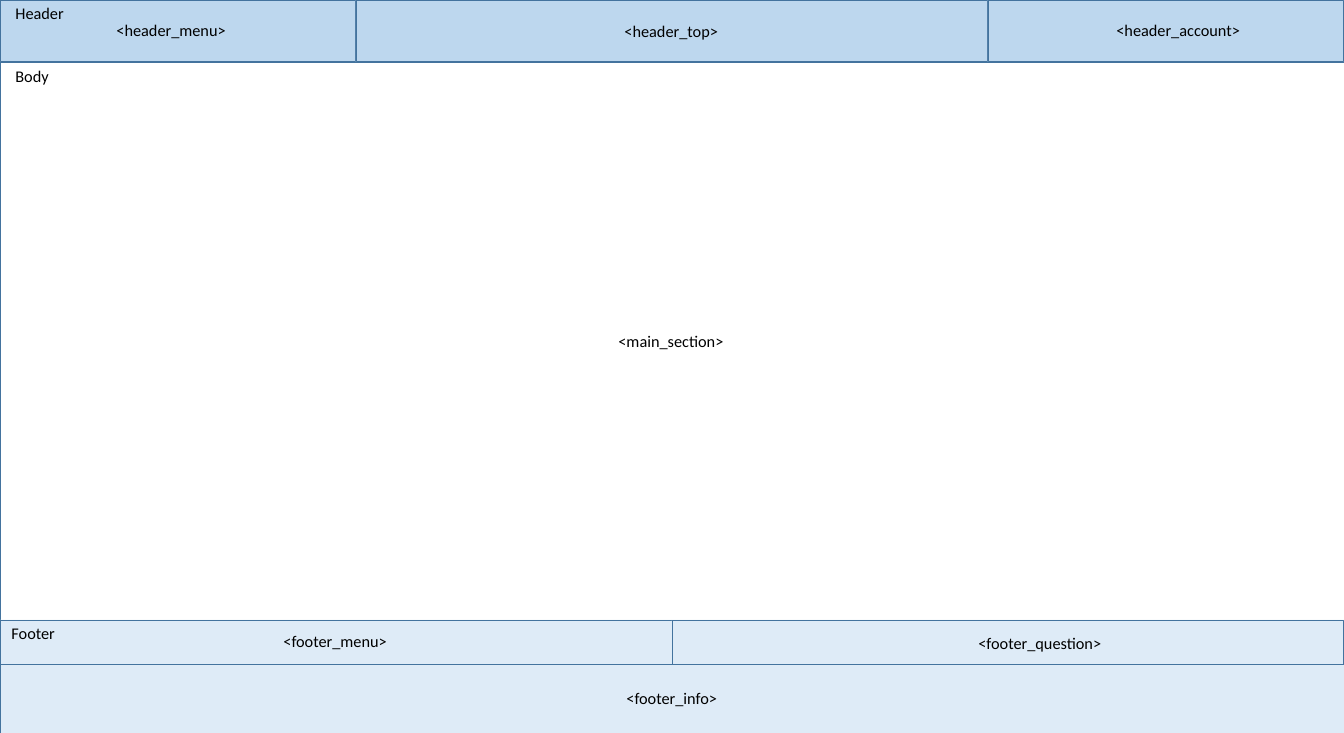
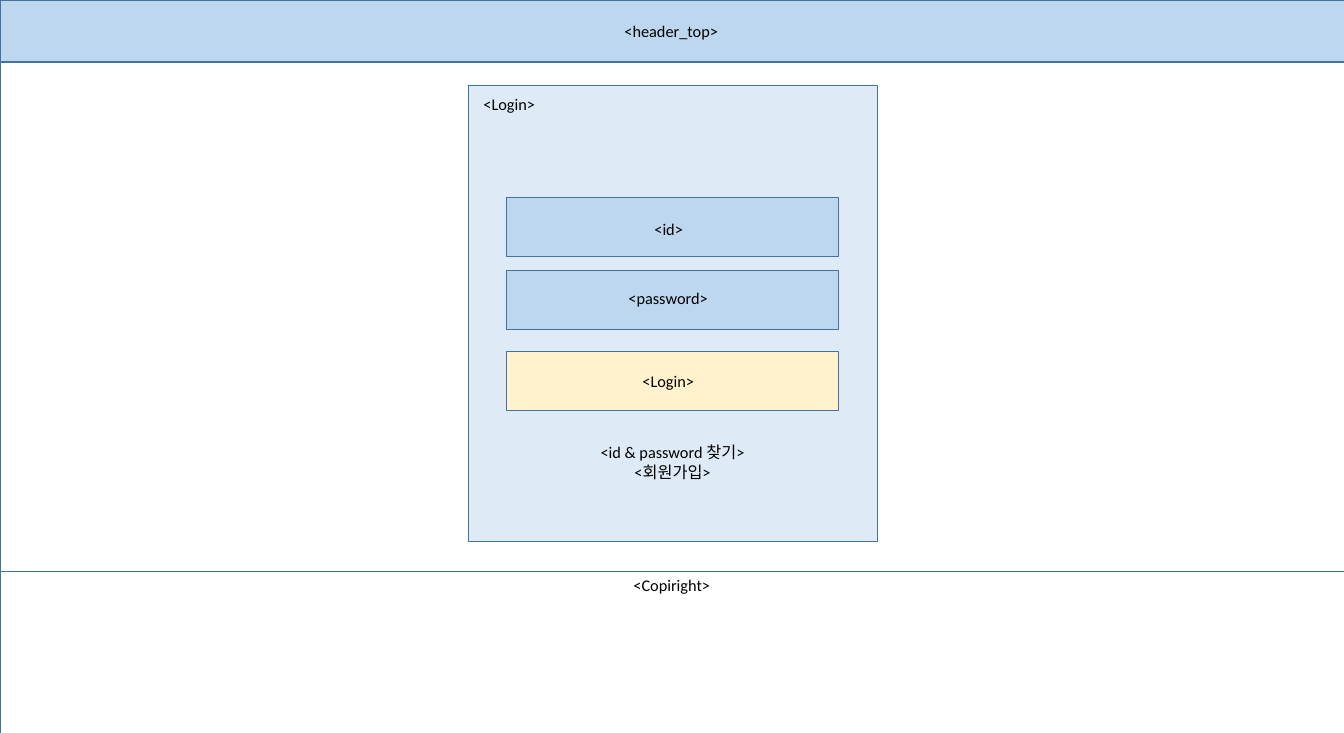
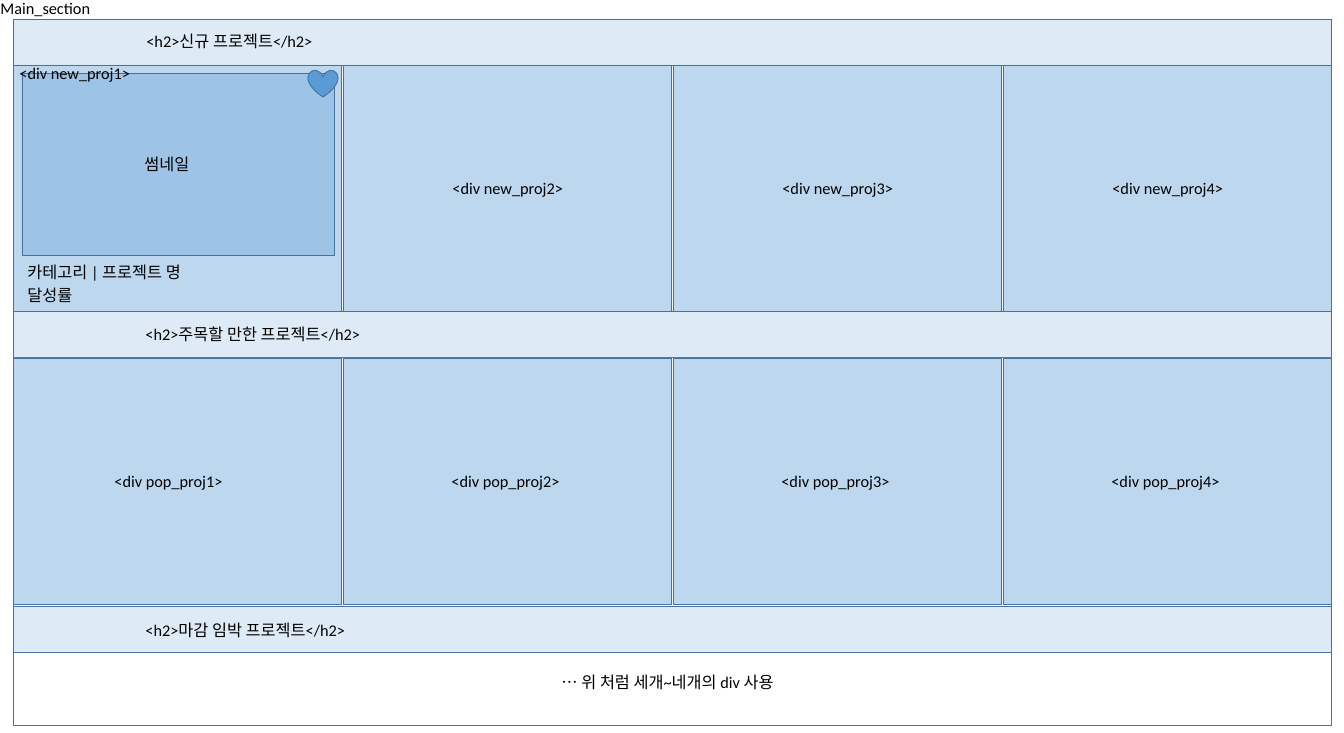
"""Build three wireframe slides: page layout, login page and main section."""
from pptx import Presentation
from pptx.dml.color import RGBColor
from pptx.enum.shapes import MSO_SHAPE as SHAPE
from pptx.enum.text import MSO_AUTO_SIZE as AUTO_SIZE, PP_ALIGN as ALIGN
from pptx.util import Pt

PX = 14030
WIDTH, HEIGHT = 1344, 733
FONT, TEXT_SIZE, LABEL_HEIGHT = "Calibri", 18, 26
COLORS = {
    "line": "43739E", "text": "000000", "pale": "DEEBF7", "light": "BDD7EE",
    "medium": "9DC3E6", "button": "FFF2CC", "heart": "5B9BD5",
}

HEADER = 62
HEADER_TOP_LABEL = ("<header_top>", 618, 18, 108)

FOOTER_TOP, INFO_TOP, HALF = 620, 664, WIDTH // 2
MENU_WIDTH = 356
layout_regions = [
    (0, 0, MENU_WIDTH, HEADER, "light"),
    (MENU_WIDTH, 0, WIDTH - 2 * MENU_WIDTH, HEADER, "light"),
    (WIDTH - MENU_WIDTH, 0, MENU_WIDTH, HEADER, "light"),
    (0, HEADER, WIDTH, FOOTER_TOP - HEADER, None),
    (0, FOOTER_TOP, HALF, INFO_TOP - FOOTER_TOP, "pale"),
    (0, INFO_TOP, WIDTH, HEIGHT - INFO_TOP, "pale"),
    (HALF, FOOTER_TOP, HALF, INFO_TOP - FOOTER_TOP, "pale"),
]
layout_labels = [
    ("Header", 9, 0, 62),
    ("Body", 9, 63, 47),
    ("Footer", 5, FOOTER_TOP, 57),
    HEADER_TOP_LABEL,
    ("<header_menu>", 110, 17, 124),
    ("<header_account>", 1110, 17, 138),
    ("<main_section>", 612, 328, 119),
    ("<footer_menu>", 277, 628, 118),
    ("<footer_question>", 972, 630, 138),
    ("<footer_info>", 620, 685, 105),
]

COPYRIGHT_TOP = 571
login_fields = [(197, "light"), (270, "light"), (351, "button")]
login_regions = [
    (0, 0, WIDTH, HEADER, "light"),
    (0, COPYRIGHT_TOP, WIDTH, HEIGHT - COPYRIGHT_TOP, None),
    (0, HEADER, WIDTH, COPYRIGHT_TOP - HEADER, None),
    (468, 85, 409, 457, "pale"),
] + [(506, top, 332, 59, color) for top, color in login_fields]
login_labels = [
    HEADER_TOP_LABEL,
    ("<Copiright>", 627, 572, 91),
    ("<Login>", 477, 91, 65),
    ("<id>", 648, 216, 42),
    ("<password>", 622, 285, 93),
    ("<Login>", 636, 368, 65),
]
login_help = ("<id & password 찾기>\n<회원가입>", 592, 439, 161)

MAIN_LEFT, MAIN_TOP, MAIN_WIDTH, MAIN_HEIGHT = 13, 19, 1318, 707
BAND_HEIGHT, CARD_HEIGHT, CARD_WIDTH, CARD_PITCH = 46, 246, 328, 330
main_regions = [
    (MAIN_LEFT, MAIN_TOP, MAIN_WIDTH, MAIN_HEIGHT, None),
] + [
    (MAIN_LEFT, top, MAIN_WIDTH, BAND_HEIGHT, "pale") for top in (19, 311, 606)
] + [
    (MAIN_LEFT + column * CARD_PITCH, top, CARD_WIDTH, CARD_HEIGHT, "light")
    for top in (65, 358) for column in range(4)
] + [(22, 73, 313, 182, "medium")]
main_labels = [
    ("Main_section", -6, -5, 104),
    ("<h2>신규 프로젝트</h2>", 140, 28, 189),
    ("<h2>주목할 만한 프로젝트</h2>", 139, 321, 242),
    ("<h2>마감 임박 프로젝트</h2>", 139, 617, 225),
    ("<div new_proj1>", 13, 60, 125),
    ("<div pop_proj1>", 108, 468, 123),
    ("썸네일", 138, 151, 63),
    ("카테고리 | 프로젝트 명", 21, 259, 180),
    ("달성률", 21, 282, 63),
] + [
    (f"<div {group}_proj{number}>", left + (number - 2) * CARD_PITCH, top, 125)
    for group, left, top in (("new", 446, 175), ("pop", 445, 468))
    for number in (2, 3, 4)
]
main_note = ("… 위 처럼 세개~네개의 div 사용", 555, 669, 236)
heart = (308, 70, 30, 27, "heart")


def rgb(name):
    return RGBColor.from_string(COLORS[name])


def add_region(slide, region, preset=SHAPE.RECTANGLE):
    *box, color = region
    shape = slide.shapes.add_shape(preset, *(length * PX for length in box))
    shape.shadow.inherit = False
    if color:
        shape.fill.solid()
        shape.fill.fore_color.rgb = rgb(color)
    else:
        shape.fill.background()
    shape.line.color.rgb = rgb("line")
    shape.line.width = Pt(1)


def add_label(slide, label, wrap=False, align=ALIGN.LEFT):
    text, *box = label
    lines = text.split("\n")
    box.append(LABEL_HEIGHT + 20 * (len(lines) - 1))
    frame = slide.shapes.add_textbox(*(length * PX for length in box)).text_frame
    frame.word_wrap = wrap
    frame.auto_size = AUTO_SIZE.SHAPE_TO_FIT_TEXT
    for index, line in enumerate(lines):
        paragraph = frame.add_paragraph() if index else frame.paragraphs[0]
        paragraph.alignment = align
        run = paragraph.add_run()
        run.text = line
        run.font.name = FONT
        run.font.size = Pt(TEXT_SIZE)
        run.font.color.rgb = rgb("text")


def add_wireframe(deck, regions, labels):
    slide = deck.slides.add_slide(deck.slide_layouts[6])
    for region in regions:
        add_region(slide, region)
    for label in labels:
        add_label(slide, label)
    return slide


deck = Presentation()
deck.slide_width, deck.slide_height = WIDTH * PX, HEIGHT * PX

add_wireframe(deck, layout_regions, layout_labels)

login_page = add_wireframe(deck, login_regions, login_labels)
add_label(login_page, login_help, wrap=True, align=ALIGN.CENTER)

main_section = add_wireframe(deck, main_regions, main_labels)
add_label(main_section, main_note, wrap=True)
add_region(main_section, heart, SHAPE.HEART)

deck.save("out.pptx")
